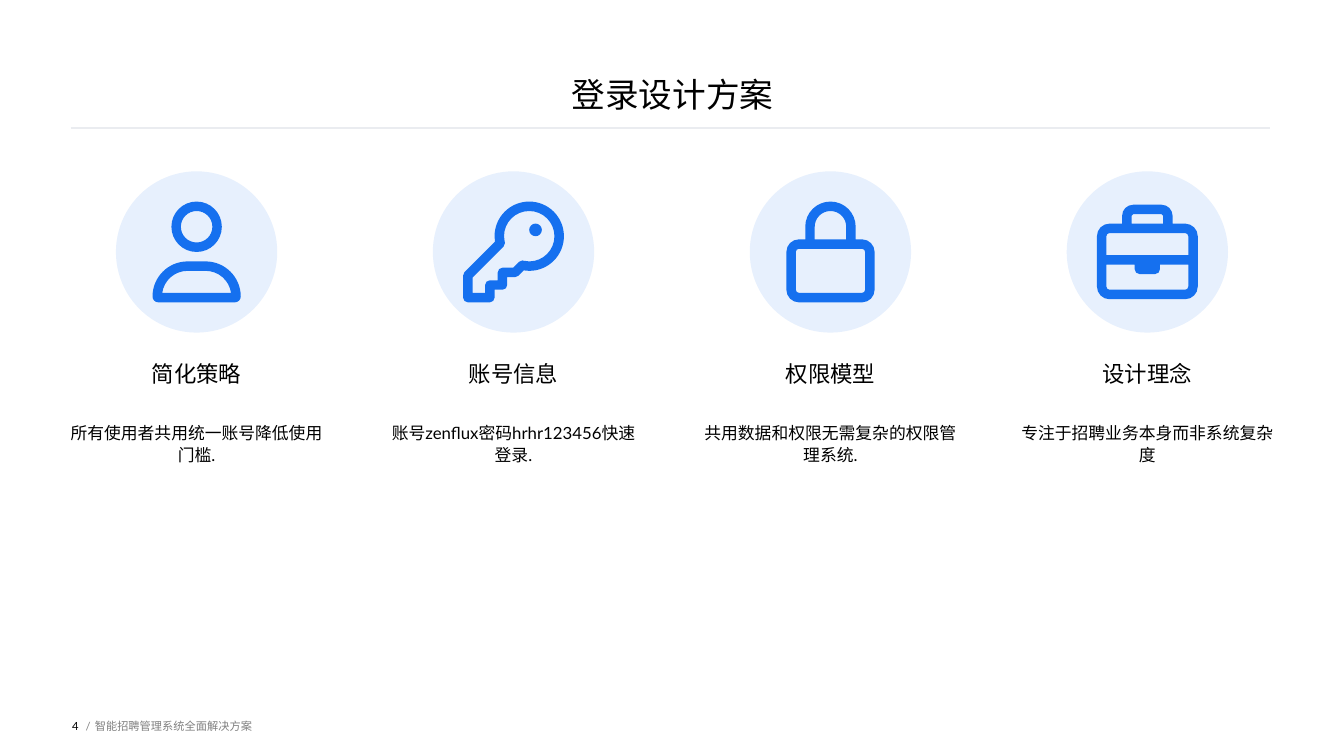
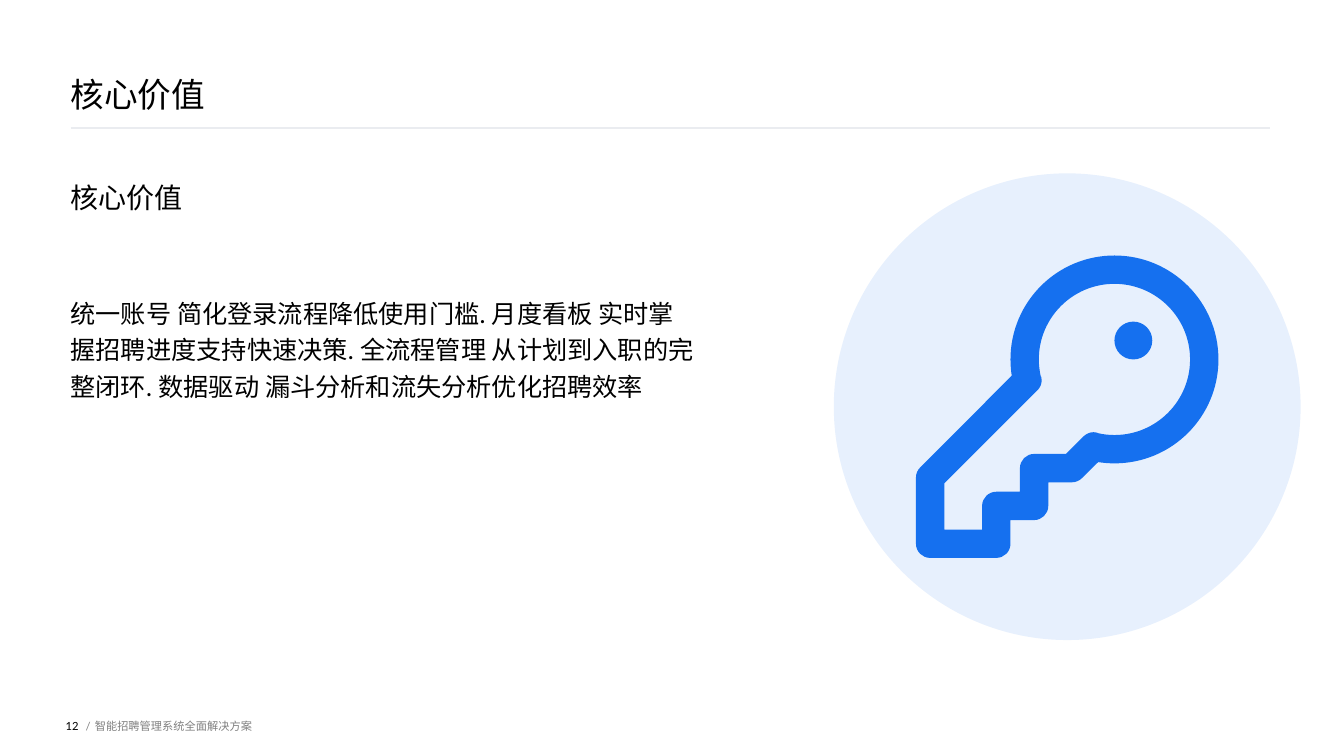
import math

import lxml.etree
import pptx
import pptx.dml.color
import pptx.enum.shapes
import pptx.enum.text
import pptx.oxml
import pptx.oxml.ns
import pptx.util

Inches = pptx.util.Inches
RGBColor = pptx.dml.color.RGBColor
qn = pptx.oxml.ns.qn
ALIGN = pptx.enum.text.PP_ALIGN
ANCHOR = pptx.enum.text.MSO_ANCHOR

BLUE = RGBColor(0x15, 0x70, 0xEF)
RULE = RGBColor(0xEA, 0xEC, 0xF0)
GRAY = RGBColor(0x80, 0x80, 0x80)
BLACK = RGBColor(0, 0, 0)
FONT = "Lato"
MARGIN = 0.7
CONTENT_W = 11.9
FOOTER = "智能招聘管理系统全面解决方案"
ICON_GRID = 16


def arc(cx, cy, radius, start, end):
    """Return a start point and Bezier segments, split at the quarter angles."""
    quarters = [a for a in range(-360, 721, 90) if min(start, end) < a < max(start, end)]
    stops = sorted([start, *quarters, end], reverse=start > end)
    first = math.radians(start)
    segments = [(cx + radius * math.cos(first), cy + radius * math.sin(first))]
    for a, b in zip(map(math.radians, stops), map(math.radians, stops[1:])):
        k = radius * 4 / 3 * math.tan((b - a) / 4)
        x1, y1 = cx + radius * math.cos(a), cy + radius * math.sin(a)
        x2, y2 = cx + radius * math.cos(b), cy + radius * math.sin(b)
        segments.append((x1 - k * math.sin(a), y1 + k * math.cos(a),
                         x2 + k * math.sin(b), y2 - k * math.cos(b), x2, y2))
    return segments


def rounded(left, top, right, bottom, radius):
    """Return the outline of a rounded rectangle."""
    l, t, r, b = left + radius, top + radius, right - radius, bottom - radius
    return (arc(l, t, radius, 180, 270) + arc(r, t, radius, 270, 360)
            + arc(r, b, radius, 0, 90) + arc(l, b, radius, 90, 180))


USER = [
    arc(8, 4, 4, 0, 360),
    arc(8, 4, 2.5, 0, 360),
    arc(6.57, 15.07, 5.57, 180, 270) + arc(9.43, 15.07, 5.57, 270, 360)
    + arc(14.07, 15.07, 0.93, 0, 90) + arc(1.93, 15.07, 0.93, 90, 180),
    arc(6.57, 15.07, 4.07, 188, 270) + arc(9.43, 15.07, 4.07, 270, 352),
]
KEY = [
    arc(10.5, 5.5, 5.5, 171, 459) + arc(8.25, 11.25, 0.75, 45, 90)
    + [(7, 12)] + arc(6.25, 13.25, 0.75, 0, 90)
    + [(5, 14)] + arc(4.25, 15.25, 0.75, 0, 90)
    + arc(0.75, 15.25, 0.75, 90, 180) + arc(0.75, 11.75, 0.75, 180, 225),
    arc(10.5, 5.5, 4, 167, 463) + arc(9.4, 10.1, 0.75, 285, 225)
    + [(7.94, 10.5)] + arc(6.25, 11.25, 0.75, 270, 180)
    + [(5.5, 12.5)] + arc(4.25, 13.25, 0.75, 270, 180)
    + [(3.5, 14.5), (1.5, 14.5), (1.5, 12.06)] + arc(5.9, 6.6, 0.75, 45, -13),
    arc(11.5, 4.5, 1, 0, 360),
]
LOCK = [
    arc(3, 8, 2, 180, 270) + [(4, 6)] + arc(8, 4, 4, 180, 360) + [(12, 6)]
    + arc(13, 8, 2, 270, 360) + arc(13, 14, 2, 0, 90) + arc(3, 14, 2, 90, 180),
    arc(8, 4, 2.5, 180, 360) + [(10.5, 6), (5.5, 6)],
    rounded(2.5, 7.5, 13.5, 14.5, 0.5),
]
BRIEFCASE = [
    arc(2, 5.5, 2, 180, 270) + [(4, 3.5)] + arc(5.75, 2.25, 1.75, 180, 270)
    + arc(10.25, 2.25, 1.75, 270, 360) + [(12, 3.5)] + arc(14, 5.5, 2, 270, 360)
    + arc(14, 13.5, 2, 0, 90) + arc(2, 13.5, 2, 90, 180),
    arc(5.75, 2.25, 0.25, 180, 270) + arc(10.25, 2.25, 0.25, 270, 360)
    + [(10.5, 3.5), (5.5, 3.5)],
    arc(2, 5.5, 0.5, 180, 270) + arc(14, 5.5, 0.5, 270, 360)
    + [(14.5, 8.5), (1.5, 8.5)],
    [(1.5, 10), (6, 10)] + arc(6.75, 10.75, 0.75, 180, 90)
    + arc(9.25, 10.75, 0.75, 90, 0) + [(10, 10), (14.5, 10)]
    + arc(14, 13.5, 0.5, 0, 90) + arc(2, 13.5, 0.5, 90, 180),
]
FEATURES = [
    (USER, "简化策略", "所有使用者共用统一账号降低使用门槛."),
    (KEY, "账号信息", "账号zenflux密码hrhr123456快速登录."),
    (LOCK, "权限模型", "共用数据和权限无需复杂的权限管理系统."),
    (BRIEFCASE, "设计理念", "专注于招聘业务本身而非系统复杂度"),
]


def add_text(slide, text, left, top, width, height, size=12, color=BLACK,
             align=ALIGN.LEFT, anchor=ANCHOR.TOP, spacing=None):
    """Add a text box without insets."""
    sp = slide.shapes.add_textbox(Inches(left), Inches(top), Inches(width), Inches(height))
    tf = sp.text_frame
    tf.word_wrap = True
    tf.vertical_anchor = anchor
    tf.margin_left = tf.margin_top = tf.margin_right = tf.margin_bottom = 0
    p = tf.paragraphs[0]
    p.alignment = align
    if spacing:
        p.line_spacing = spacing
    r = p.add_run()
    r.text = text
    r.font.name = FONT
    r.font.size = pptx.util.Pt(size)
    r.font.color.rgb = color


def fill_blue(sp):
    """Fill a shape with the accent colour and drop its outline and shadow."""
    sp.shadow.inherit = False
    sp.fill.solid()
    sp.fill.fore_color.rgb = BLUE
    sp.line.fill.background()


def curve_lines(sp, segments):
    """Turn the lines of a freeform that stand for arcs into Bezier curves."""
    lines = list(sp._element.iter(qn("a:lnTo")))
    for line, segment in zip(lines, segments):
        if len(segment) == 6:
            curve = lxml.etree.Element(qn("a:cubicBezTo"))
            for x, y in zip(segment[::2], segment[1::2]):
                lxml.etree.SubElement(curve, qn("a:pt"), x=str(x - sp.left), y=str(y - sp.top))
            line.getparent().replace(line, curve)


def add_icon(slide, outlines, left, top, size):
    """Draw grid outlines as one filled freeform inside a square box."""
    unit = size / ICON_GRID
    contours = [[tuple(int(Inches((top if i % 2 else left) + v * unit))
                       for i, v in enumerate(segment)) for segment in outline]
                for outline in outlines]
    builder = slide.shapes.build_freeform(*contours[0][0])
    for i, segments in enumerate(contours):
        if i:
            builder.move_to(*segments[0])
        builder.add_line_segments([segment[-2:] for segment in segments[1:]], close=True)
    sp = builder.convert_to_shape()
    curve_lines(sp, [segment for segments in contours for segment in segments[1:]])
    fill_blue(sp)


def add_badge(slide, outlines, left, top, size, icon_size):
    """Draw a pale disc with an icon at its centre."""
    disc = slide.shapes.add_shape(pptx.enum.shapes.MSO_SHAPE.OVAL, Inches(left), Inches(top),
                                  Inches(size), Inches(size))
    fill_blue(disc)
    color = disc._element.spPr.find(".//" + qn("a:srgbClr"))
    lxml.etree.SubElement(color, qn("a:alpha"), val="10000")
    inset = (size - icon_size) / 2
    add_icon(slide, outlines, left + inset, top + inset, icon_size)


def add_frame(prs, title, number, align=ALIGN.LEFT):
    """Add a slide with its title, rule and footer."""
    slide = prs.slides.add_slide(prs.slide_layouts[6])
    add_text(slide, title, MARGIN, 0, CONTENT_W + 0.04, 1.13, size=24, align=align,
             anchor=ANCHOR.BOTTOM)
    rule = slide.shapes.add_connector(
        pptx.enum.shapes.MSO_CONNECTOR.STRAIGHT, Inches(MARGIN), Inches(1.27),
        Inches(MARGIN + CONTENT_W), Inches(1.27))
    rule.line.color.rgb = RULE
    rule.line.width = pptx.util.Pt(2)
    lxml.etree.SubElement(rule._element.spPr, qn("a:effectLst"))
    for text, left, width, color, side in (
            (str(number), 0.47, 0.31, BLACK, ALIGN.RIGHT),
            ("/", 0.85, 0.09, GRAY, ALIGN.LEFT),
            (FOOTER, 0.94, 5.49, GRAY, ALIGN.LEFT)):
        add_text(slide, text, left, 6.9, width, 0.6, size=8, color=color, align=side,
                 anchor=ANCHOR.MIDDLE)
    return slide


def add_feature(slide, icon, heading, body, left, top, width):
    """Add one column with a badge, a heading and a description."""
    disc = 1.6
    add_badge(slide, icon, left + (width - disc) / 2, top, disc, 1)
    add_text(slide, heading, left, top + 1.9, width, 0.4, size=16, align=ALIGN.CENTER,
             spacing=0.9)
    add_text(slide, body, left, top + 2.47, width, 2, align=ALIGN.CENTER, spacing=1.1)


def build_features(prs):
    """Build the slide with four feature columns."""
    slide = add_frame(prs, "登录设计方案", 4, ALIGN.CENTER)
    width = 2.5
    pitch = (10.13 - MARGIN) / (len(FEATURES) - 1)
    for i, (icon, heading, body) in enumerate(FEATURES):
        add_feature(slide, icon, heading, body, MARGIN + i * pitch, 1.7, width)


def build_value(prs):
    """Build the slide with a statement beside a large badge."""
    slide = add_frame(prs, "核心价值", 12)
    add_text(slide, "核心价值", MARGIN, 1.83, 6.19, 0.85, size=20, spacing=0.9)
    add_text(slide, "统一账号 简化登录流程降低使用门槛. 月度看板 实时掌握招聘进度支持快速决策. "
             "全流程管理 从计划到入职的完整闭环. 数据驱动 漏斗分析和流失分析优化招聘效率",
             MARGIN, 2.9, 6.19, 3.15, size=18, spacing=1.2)
    add_badge(slide, KEY, 8.27, 1.72, 4.63, 3)


def main():
    """Build and save the presentation."""
    prs = pptx.Presentation()
    prs.slide_width = Inches(13.33)
    prs.slide_height = Inches(7.5)
    build_features(prs)
    build_value(prs)
    prs.save("out.pptx")


if __name__ == "__main__":
    main()
